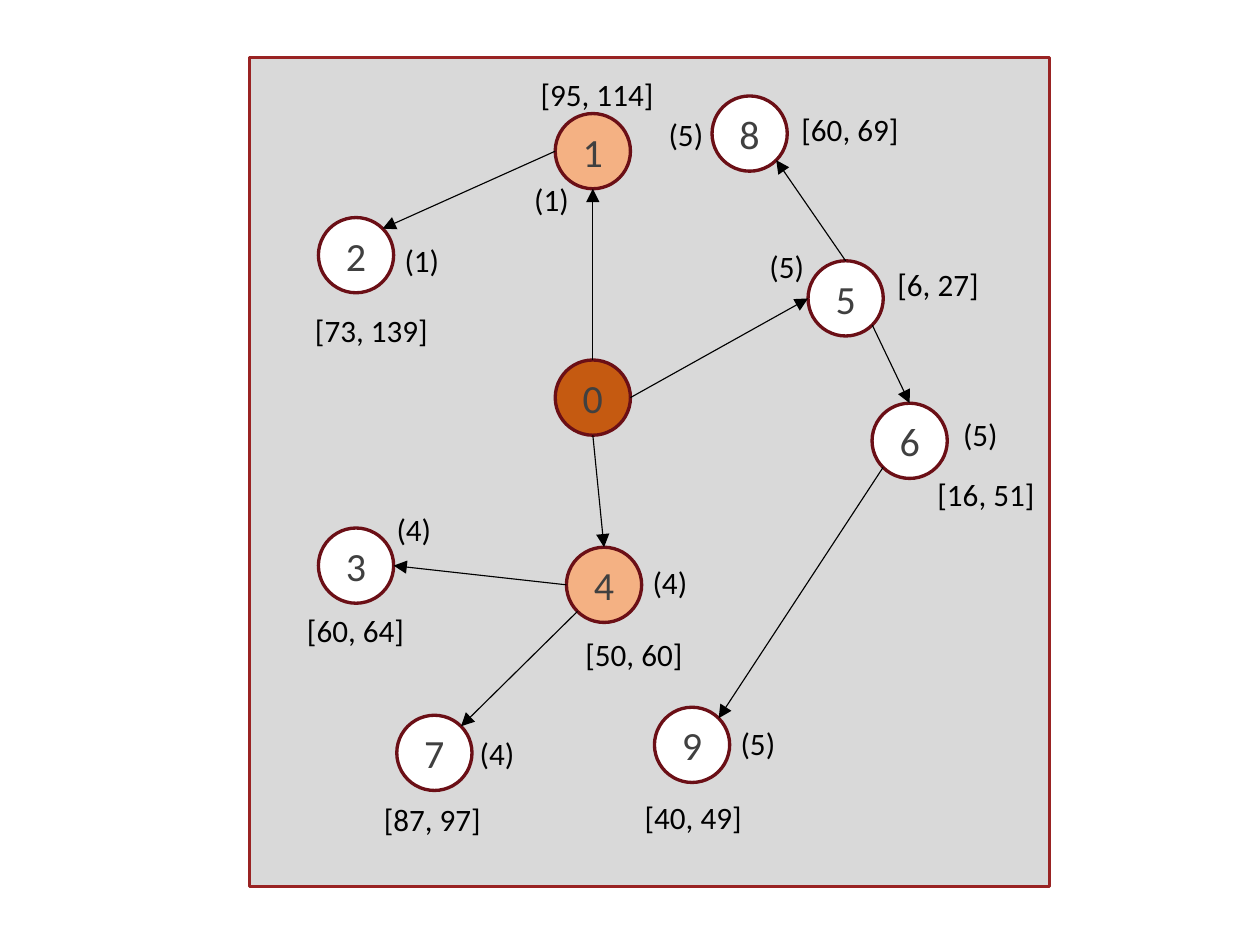
from dataclasses import dataclass
from math import cos, radians, sin

from lxml.etree import SubElement
from pptx import Presentation
from pptx.dml.color import RGBColor
from pptx.enum.shapes import MSO_CONNECTOR, MSO_SHAPE
from pptx.enum.text import MSO_ANCHOR, PP_ALIGN
from pptx.oxml.ns import qn
from pptx.util import Cm, Inches, Pt

FONT = "Calibri"
DIAMETER = 0.47
BRANCH_SIZE = (0.47, 0.34)
RANGE_SIZE = (1.01, 0.34)
ROOT, INNER, LEAF = "C55A11", "F4B183", "FFFFFF"

# Connection sites of an ellipse, counterclockwise in steps of 45 degrees
TOP, LEFT, BOTTOM_LEFT, BOTTOM, BOTTOM_RIGHT, RIGHT, TOP_RIGHT = 0, 2, 3, 4, 5, 6, 7


@dataclass
class Node:
    number: int
    at: tuple
    fill: str = LEAF
    branch: str = ""
    branch_at: tuple = ()
    range: str = ""
    range_at: tuple = ()


# Positions are offsets from the top left corner of the panel
NODES = [
    Node(0, (1.91, 1.89), ROOT),
    Node(1, (1.91, 0.35), INNER, "(1)", (1.68, 0.72), "[95, 114]", (1.72, 0.06)),
    Node(2, (0.43, 1.0), LEAF, "(1)", (0.87, 1.1), "[73, 139]", (0.31, 1.54)),
    Node(3, (0.43, 2.94), LEAF, "(4)", (0.82, 2.78), "[60, 64]", (0.26, 3.41)),
    Node(4, (1.98, 3.06), INNER, "(4)", (2.42, 3.11), "[50, 60]", (2.0, 3.56)),
    Node(5, (3.49, 1.27), LEAF, "(5)", (3.15, 1.14), "[6, 27]", (3.95, 1.25)),
    Node(6, (3.89, 2.16), LEAF, "(5)", (4.36, 2.19), "[16, 51]", (4.2, 2.56)),
    Node(7, (0.92, 4.11), LEAF, "(4)", (1.34, 4.18), "[87, 97]", (0.74, 4.59)),
    Node(8, (2.89, 0.24), LEAF, "(5)", (2.52, 0.31), "[60, 69]", (3.35, 0.28)),
    Node(9, (2.53, 4.06), LEAF, "(5)", (2.97, 4.12), "[40, 49]", (2.37, 4.58)),
]

# Parent, its site, child, its site
EDGES = [
    (0, TOP, 1, BOTTOM),
    (1, LEFT, 2, TOP_RIGHT),
    (5, TOP, 8, BOTTOM_RIGHT),
    (6, BOTTOM_LEFT, 9, TOP_RIGHT),
    (0, BOTTOM, 4, TOP),
    (4, LEFT, 3, RIGHT),
    (4, BOTTOM_LEFT, 7, TOP_RIGHT),
    (0, RIGHT, 5, LEFT),
    (5, BOTTOM_RIGHT, 6, TOP),
]


def color(hex_string):
    return RGBColor.from_string(hex_string)


def style_text(paragraph, size, hex_string):
    paragraph.font.name = FONT
    paragraph.font.size = Pt(size)
    paragraph.font.color.rgb = color(hex_string)


def add_outlined(slide, kind, left, top, width, height, fill, line):
    shape = slide.shapes.add_shape(
        kind, Inches(left), Inches(top), Inches(width), Inches(height))
    shape.shadow.inherit = False
    shape.fill.solid()
    shape.fill.fore_color.rgb = color(fill)
    shape.line.color.rgb = color(line)
    shape.line.width = Pt(1.5)
    return shape


def add_node(slide, left, top, node):
    circle = add_outlined(slide, MSO_SHAPE.OVAL, left, top, DIAMETER, DIAMETER,
                          node.fill, "6B0F16")
    frame = circle.text_frame
    frame.margin_left = frame.margin_right = 0
    frame.vertical_anchor = MSO_ANCHOR.MIDDLE
    number = frame.paragraphs[0]
    number.text = str(node.number)
    number.alignment = PP_ALIGN.CENTER
    style_text(number, 18, "404040")
    return circle


def add_label(slide, left, top, size, text):
    width, height = size
    label = slide.shapes.add_textbox(
        Inches(left), Inches(top), Inches(width), Inches(height))
    label.text_frame.word_wrap = True
    paragraph = label.text_frame.paragraphs[0]
    paragraph.text = text
    style_text(paragraph, 14, "000000")


def site_point(circle, site):
    angle = radians(45 * site)
    radius = circle.width / 2
    return (round(circle.left + radius - radius * sin(angle)),
            round(circle.top + radius - radius * cos(angle)))


def add_edge(slide, parent, parent_site, child, child_site):
    edge = slide.shapes.add_connector(
        MSO_CONNECTOR.STRAIGHT,
        *site_point(parent, parent_site), *site_point(child, child_site))
    edge.line.color.rgb = color("000000")
    edge.line.width = Pt(0.5)
    # Ellipses have eight sites, so the joins are written directly
    joins = edge._element.find(".//" + qn("p:cNvCxnSpPr"))
    for tag, circle, site in (("a:stCxn", parent, parent_site),
                              ("a:endCxn", child, child_site)):
        SubElement(joins, qn(tag), id=str(circle.shape_id), idx=str(site))
    # Arrowhead, no shadow
    SubElement(edge.line._get_or_add_ln(), qn("a:tailEnd"), type="triangle")
    SubElement(edge._element.spPr, qn("a:effectLst"))


def build_tree(slide, left, top, width, height):
    # Panel
    add_outlined(slide, MSO_SHAPE.RECTANGLE, left, top, width, height,
                 "D9D9D9", "992323")

    # Nodes
    circles = {}
    for node in NODES:
        x, y = node.at
        circles[node.number] = add_node(slide, left + x, top + y, node)

    # Edges
    for parent, parent_site, child, child_site in EDGES:
        add_edge(slide, circles[parent], parent_site, circles[child], child_site)

    # Branch numbers and ranges; the root has none
    for node in NODES[1:]:
        for text, (x, y), size in ((node.branch, node.branch_at, BRANCH_SIZE),
                                   (node.range, node.range_at, RANGE_SIZE)):
            add_label(slide, left + x, top + y, size, text)


def main():
    presentation = Presentation()
    # A metric page: 20 by 15 cm
    presentation.slide_width = Cm(20)
    presentation.slide_height = Cm(15)
    slide = presentation.slides.add_slide(presentation.slide_layouts[6])
    build_tree(slide, 1.56, 0.36, 5, 5.18)
    presentation.save("out.pptx")


if __name__ == "__main__":
    main()
